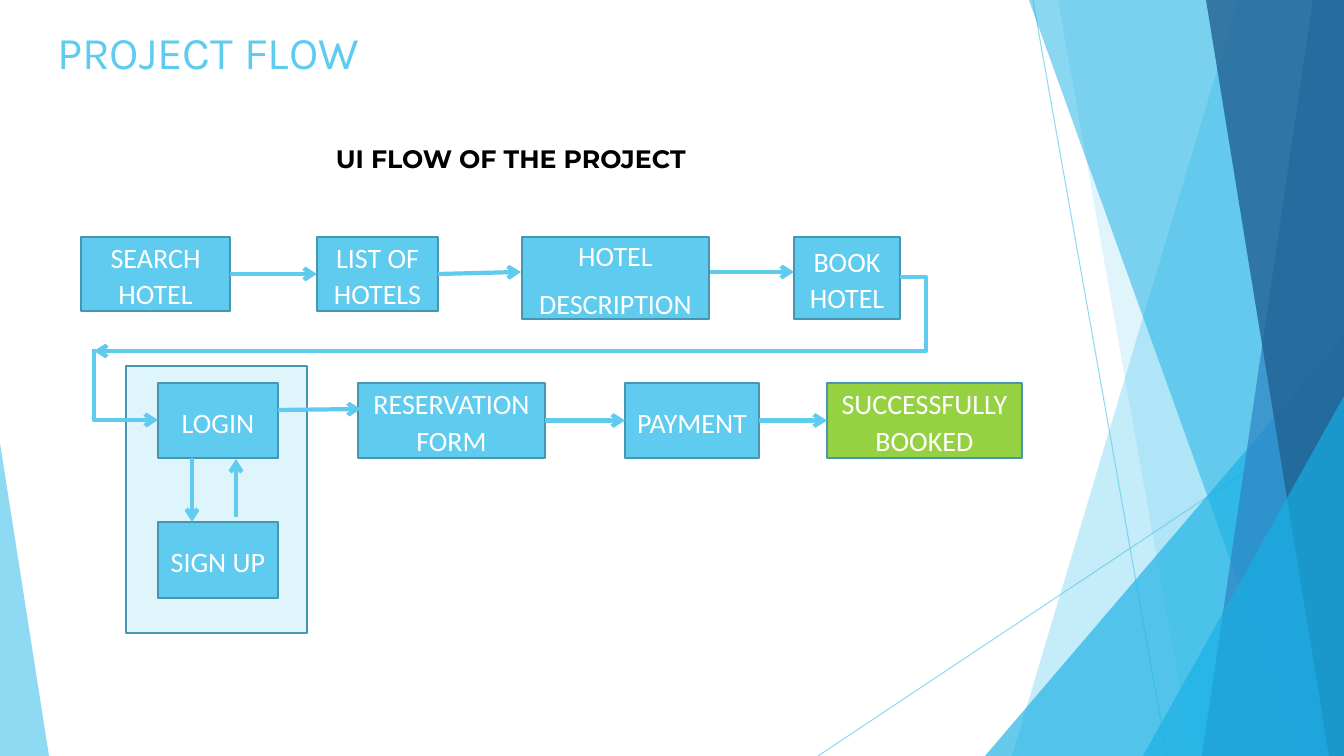
from dataclasses import dataclass

from lxml.etree import SubElement
from pptx import Presentation
from pptx.dml.color import RGBColor
from pptx.enum.shapes import MSO_CONNECTOR as Link, MSO_SHAPE as Preset
from pptx.enum.text import MSO_ANCHOR as Anchor, MSO_AUTO_SIZE as AutoSize, PP_ALIGN as Align
from pptx.oxml.ns import qn
from pptx.util import Pt

PX = 914400 / 100.8
WIDTH, HEIGHT = 1344, 756
LEFT, RIGHT = 1, 3  # connection sites


@dataclass(frozen=True)
class Theme:
    sky: str = "5FCBEF"
    pale: str = "DFF5FC"
    azure: str = "17B0E4"
    blue: str = "2E83C3"
    navy: str = "226292"
    green: str = "96D141"
    border: str = "4696B1"
    white: str = "FFFFFF"
    black: str = "000000"
    title_font: str = "Karla"
    heading_font: str = "Montserrat"
    step_font: str = "Calibri"
    title_size: float = 32.4
    heading_size: float = 18
    step_size: float = 20
    border_width: float = 1.5
    arrow_width: float = 3
    hairline: float = 0.75


THEME = Theme()


def emu(*lengths):
    return [round(length * PX) for length in lengths]


def paint(fill, color, opacity=100):
    fill.solid()
    fill.fore_color.rgb = RGBColor.from_string(color)
    if opacity < 100:
        for srgb in fill._xPr.iter(qn("a:srgbClr")):
            SubElement(srgb, qn("a:alpha"), val=str(opacity * 1000))


def write(paragraph, text, font, size, color, bold=False):
    run = paragraph.add_run()
    run.text = text
    run.font.name, run.font.size, run.font.bold = font, Pt(size), bold
    run.font.color.rgb = RGBColor.from_string(color)


def finish_facet(facet, color, opacity):
    facet.shadow.inherit = False
    paint(facet.fill, color, opacity)
    facet.line.fill.background()


def add_facet(shapes, corners, color, opacity):
    outline = shapes.build_freeform(*corners[0], scale=PX)
    outline.add_line_segments(corners[1:], close=True)
    finish_facet(outline.convert_to_shape(), color, opacity)


def add_triangle(shapes, box, apex, color, opacity):
    triangle = shapes.add_shape(Preset.ISOSCELES_TRIANGLE, *emu(*box))
    triangle.adjustments[0] = apex
    finish_facet(triangle, color, opacity)


def add_link(shapes, kind, begin, end, width, opacity=100):
    link = shapes.add_connector(kind, *emu(*begin, *end))
    link.line.width = Pt(width)
    paint(link.line.fill, THEME.sky, opacity)
    SubElement(link._element.spPr, qn("a:effectLst"))
    return link


def add_arrow(shapes, begin, end, source=None, target=None, kind=Link.STRAIGHT):
    """Draw an arrow, joined to the right of source and the left of target if given."""
    arrow = add_link(shapes, kind, begin, end, THEME.arrow_width)
    SubElement(arrow.line._get_or_add_ln(), qn("a:tailEnd"), type="arrow")
    if source is not None:
        arrow.begin_connect(source, RIGHT)
    if target is not None:
        arrow.end_connect(target, LEFT)
    return arrow


def add_return_arrow(shapes, begin, end, turn_x):
    """Leave to the right as far as turn_x, then run back to end."""
    arrow = add_arrow(shapes, begin, end, kind=Link.ELBOW)
    guides = arrow._element.spPr.find(qn("a:prstGeom")).get_or_add_avLst()
    share = (begin[0] - turn_x) / (begin[0] - end[0])
    SubElement(guides, qn("a:gd"), name="adj1", fmla=f"val {round(share * 100000)}")


def add_down_right_arrow(shapes, begin, end):
    """Go down, then right: a quarter-turned, flipped two-part elbow."""
    center_x, center_y = (begin[0] + end[0]) / 2, (begin[1] + end[1]) / 2
    half_run, half_drop = (end[0] - begin[0]) / 2, (end[1] - begin[1]) / 2
    arrow = add_arrow(shapes, (center_x - half_drop, center_y + half_run),
                      (center_x + half_drop, center_y - half_run), kind=Link.ELBOW)
    properties = arrow._element.spPr
    properties.find(qn("a:xfrm")).set("rot", "5400000")
    properties.find(qn("a:prstGeom")).set("prst", "bentConnector2")


def add_box(shapes, box, color):
    panel = shapes.add_shape(Preset.RECTANGLE, *emu(*box))
    panel.shadow.inherit = False
    paint(panel.fill, color)
    paint(panel.line.fill, THEME.border)
    panel.line.width = Pt(THEME.border_width)
    return panel


def add_step(shapes, box, *lines, color=THEME.sky):
    step = add_box(shapes, box, color)
    frame = step.text_frame
    frame.word_wrap = True
    frame.vertical_anchor = Anchor.MIDDLE
    for number, line in enumerate(lines):
        paragraph = frame.add_paragraph() if number else frame.paragraphs[0]
        paragraph.alignment = Align.CENTER
        paragraph.line_spacing = 1.08
        paragraph.space_after = Pt(8)
        write(paragraph, line, THEME.step_font, THEME.step_size, THEME.white)
    return step


def add_backdrop(shapes):
    for begin, end in (((1033, 0), (1167, HEIGHT)), ((WIDTH, 406), (818, HEIGHT))):
        add_link(shapes, Link.STRAIGHT, begin, end, THEME.hairline, 70)
    # Each facet runs from its top-left and bottom-left corners to the right edge.
    facets = [(1238, 1012, THEME.sky, 36), (1058, 1192, THEME.sky, 20), None,
              (1029, 1301, THEME.azure, 50), (1313, 1202, THEME.blue, 70),
              (1206, 1329, THEME.navy, 80)]
    for facet in facets:
        if facet is None:
            add_triangle(shapes, (985, 336, 359, 420), 1, THEME.azure, 66)
            continue
        top, bottom, color, opacity = facet
        corners = [(top, 0), (WIDTH, 0), (WIDTH, HEIGHT), (bottom, HEIGHT)]
        add_facet(shapes, corners, color, opacity)
    add_triangle(shapes, (1143, 396, 201, 360), 1, THEME.azure, 66)
    add_triangle(shapes, (0, 443, 49, 313), 0, THEME.sky, 70)


def add_headings(shapes):
    title = shapes.title
    title.left, title.top, title.width, title.height = emu(47, 17, 948, 69)
    frame = title.text_frame
    frame.auto_size = AutoSize.NONE
    frame.vertical_anchor = Anchor.MIDDLE
    frame.paragraphs[0].alignment = Align.LEFT
    write(frame.paragraphs[0], "PROJECT FLOW", THEME.title_font, THEME.title_size, THEME.sky)

    heading = shapes.add_textbox(*emu(326, 138, 394, 40)).text_frame
    heading.word_wrap = False
    heading.auto_size = AutoSize.SHAPE_TO_FIT_TEXT
    write(heading.paragraphs[0], "UI FLOW OF THE PROJECT", THEME.heading_font,
          THEME.heading_size, THEME.black, bold=True)


def add_flow(shapes):
    add_box(shapes, (126, 366, 181, 267), THEME.pale)
    top, middle = 237, 383
    search = add_step(shapes, (81, top, 149, 74), "SEARCH HOTEL")
    hotels = add_step(shapes, (317, top, 121, 74), "LIST OF HOTELS")
    add_step(shapes, (522, top, 187, 82), "HOTEL", "DESCRIPTION")
    add_step(shapes, (794, top, 106, 82), "BOOK HOTEL")
    add_step(shapes, (158, middle, 120, 75), "LOGIN")
    reservation = add_step(shapes, (358, middle, 187, 75), "RESERVATION FORM")
    payment = add_step(shapes, (625, middle, 134, 75), "PAYMENT")
    booked = add_step(shapes, (827, middle, 195, 75), "SUCCESSFULLY BOOKED",
                      color=THEME.green)
    add_step(shapes, (158, 522, 120, 76), "SIGN UP")

    add_arrow(shapes, (230, 272), (317, 272), search, hotels)
    add_arrow(shapes, (438, 273), (521, 272), hotels)
    add_arrow(shapes, (710, 272), (794, 272))
    add_arrow(shapes, (278, 410), (361, 409))
    add_arrow(shapes, (545, 420), (625, 420), reservation, payment)
    add_arrow(shapes, (759, 420), (827, 420), payment, booked)
    add_arrow(shapes, (192, 458), (192, 522))
    add_arrow(shapes, (236, 517), (236, 459))
    add_return_arrow(shapes, (900, 277), (94, 351), turn_x=926)
    add_down_right_arrow(shapes, (94, 349), (158, 420))


def main():
    deck = Presentation()
    deck.slide_width, deck.slide_height = emu(WIDTH, HEIGHT)
    shapes = deck.slides.add_slide(deck.slide_layouts[5]).shapes
    add_backdrop(shapes)
    add_headings(shapes)
    add_flow(shapes)
    deck.save("out.pptx")


if __name__ == "__main__":
    main()
